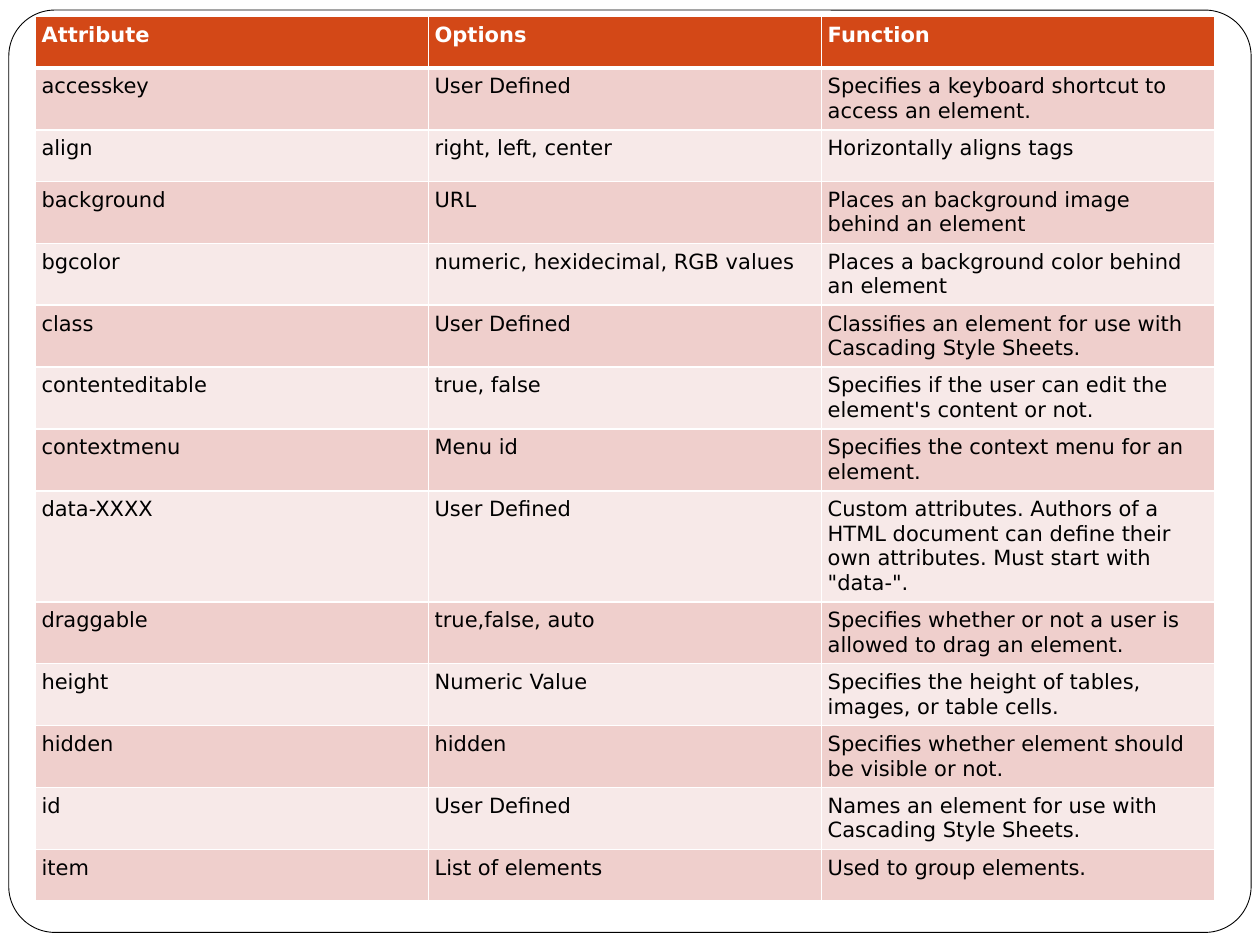
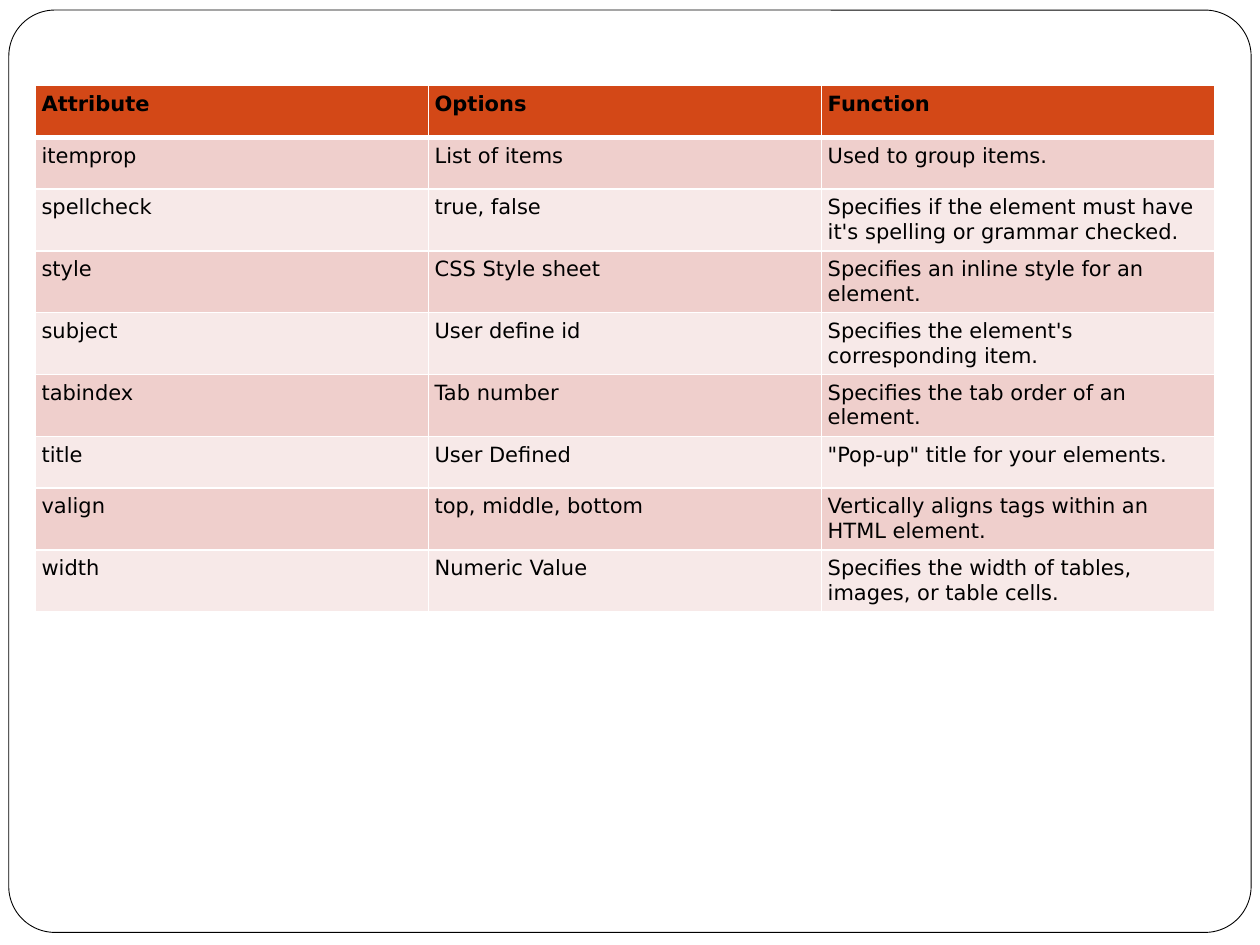
from lxml.etree import SubElement
from pptx import Presentation
from pptx.dml.color import RGBColor
from pptx.enum.shapes import MSO_SHAPE as Preset
from pptx.oxml.ns import qn
from pptx.util import Inches, Pt

WHITE = RGBColor(0xFF, 0xFF, 0xFF)
BLACK = RGBColor(0x00, 0x00, 0x00)
ORANGE = RGBColor(0xD3, 0x48, 0x17)
BANDS = (RGBColor(0xEF, 0xCF, 0xCC), RGBColor(0xF7, 0xE9, 0xE8))

HEADINGS = ("Attribute", "Options", "Function")

FIRST_ATTRIBUTES = [
    ("accesskey", "User Defined", "Specifies a keyboard shortcut to access an element."),
    ("align", "right, left, center", "Horizontally aligns tags"),
    ("background", "URL", "Places an background image behind an element"),
    ("bgcolor", "numeric, hexidecimal, RGB values", "Places a background color behind an element"),
    ("class", "User Defined", "Classifies an element for use with Cascading Style Sheets."),
    ("contenteditable", "true, false", "Specifies if the user can edit the element's content or not."),
    ("contextmenu", "Menu id", "Specifies the context menu for an element."),
    ("data-XXXX", "User Defined",
     "Custom attributes. Authors of a HTML document can define their own attributes. "
     'Must start with "data-".'),
    ("draggable", "true,false, auto", "Specifies whether or not a user is allowed to drag an element."),
    ("height", "Numeric Value", "Specifies the height of tables, images, or table cells."),
    ("hidden", "hidden", "Specifies whether element should be visible or not."),
    ("id", "User Defined", "Names an element for use with Cascading Style Sheets."),
    ("item", "List of elements", "Used to group elements."),
]

REMAINING_ATTRIBUTES = [
    ("itemprop", "List of items", "Used to group items."),
    ("spellcheck", "true, false",
     "Specifies if the element must have it's spelling or grammar checked."),
    ("style", "CSS Style sheet", "Specifies an inline style for an element."),
    ("subject", "User define id", "Specifies the element's corresponding item."),
    ("tabindex", "Tab number", "Specifies the tab order of an element."),
    ("title", "User Defined", '"Pop-up" title for your elements.'),
    ("valign", "top, middle, bottom", "Vertically aligns tags within an HTML element."),
    ("width", "Numeric Value", "Specifies the width of tables, images, or table cells."),
]


class AttributeDeck:
    font = "DejaVu Sans"
    text_size = Pt(12)
    cell_margin = Inches(0.05)
    table_left = Inches(0.28)
    column_width = Inches(3.12)
    row_height = Inches(0.41)
    thin_border = Pt(1)
    header_border = Pt(3)

    def __init__(self):
        self.presentation = Presentation()
        self.presentation.slide_width = Inches(10)
        self.presentation.slide_height = Inches(7.5)
        self.slide = None

    def add_slide(self):
        blank_layout = self.presentation.slide_layouts[6]
        self.slide = self.presentation.slides.add_slide(blank_layout)
        self.add_frame()

    def add_frame(self):
        """Draw the thin rounded outline around the slide."""
        frame = self.slide.shapes.add_shape(
            Preset.ROUNDED_RECTANGLE, Inches(0.07), Inches(0.08), Inches(9.86), Inches(7.32))
        frame.adjustments[0] = 0.05
        frame.shadow.inherit = False
        frame.fill.solid()
        frame.fill.fore_color.rgb = WHITE
        frame.line.color.rgb = BLACK
        frame.line.width = Pt(0.5)

    def add_table(self, top, records, heading_color):
        rows = [HEADINGS, *records]
        table = self.slide.shapes.add_table(
            len(rows), len(HEADINGS), self.table_left, top,
            self.column_width * len(HEADINGS), self.row_height * len(rows)).table
        for column in table.columns:
            column.width = self.column_width
        for row_index, row in enumerate(rows):
            is_heading = row_index == 0
            fill = ORANGE if is_heading else BANDS[(row_index - 1) % 2]
            color = heading_color if is_heading else BLACK
            # The thick rule is shared by the heading and the row below it
            top_border = self.header_border if row_index == 1 else self.thin_border
            bottom_border = self.header_border if is_heading else self.thin_border
            for column_index, text in enumerate(row):
                cell = table.cell(row_index, column_index)
                self.set_borders(cell, top_border, bottom_border)
                cell.fill.solid()
                cell.fill.fore_color.rgb = fill
                self.write_cell(cell, text, color, is_heading)

    def set_borders(self, cell, top, bottom):
        properties = cell._tc.get_or_add_tcPr()
        widths = {"lnL": self.thin_border, "lnR": self.thin_border, "lnT": top, "lnB": bottom}
        for side, width in widths.items():
            line = SubElement(properties, qn(f"a:{side}"), w=str(width))
            solid_fill = SubElement(line, qn("a:solidFill"))
            SubElement(solid_fill, qn("a:srgbClr"), val=str(WHITE))

    def write_cell(self, cell, text, color, bold):
        cell.margin_left = cell.margin_right = self.cell_margin
        cell.margin_top = cell.margin_bottom = self.cell_margin
        run = cell.text_frame.paragraphs[0].add_run()
        run.text = text
        run.font.name = self.font
        run.font.size = self.text_size
        run.font.bold = bold
        run.font.color.rgb = color


def main():
    deck = AttributeDeck()

    # Attributes from accesskey to item
    deck.add_slide()
    deck.add_table(Inches(0.13), FIRST_ATTRIBUTES, WHITE)

    # Attributes from itemprop to width
    deck.add_slide()
    deck.add_table(Inches(0.68), REMAINING_ATTRIBUTES, BLACK)

    deck.presentation.save("out.pptx")


if __name__ == "__main__":
    main()
